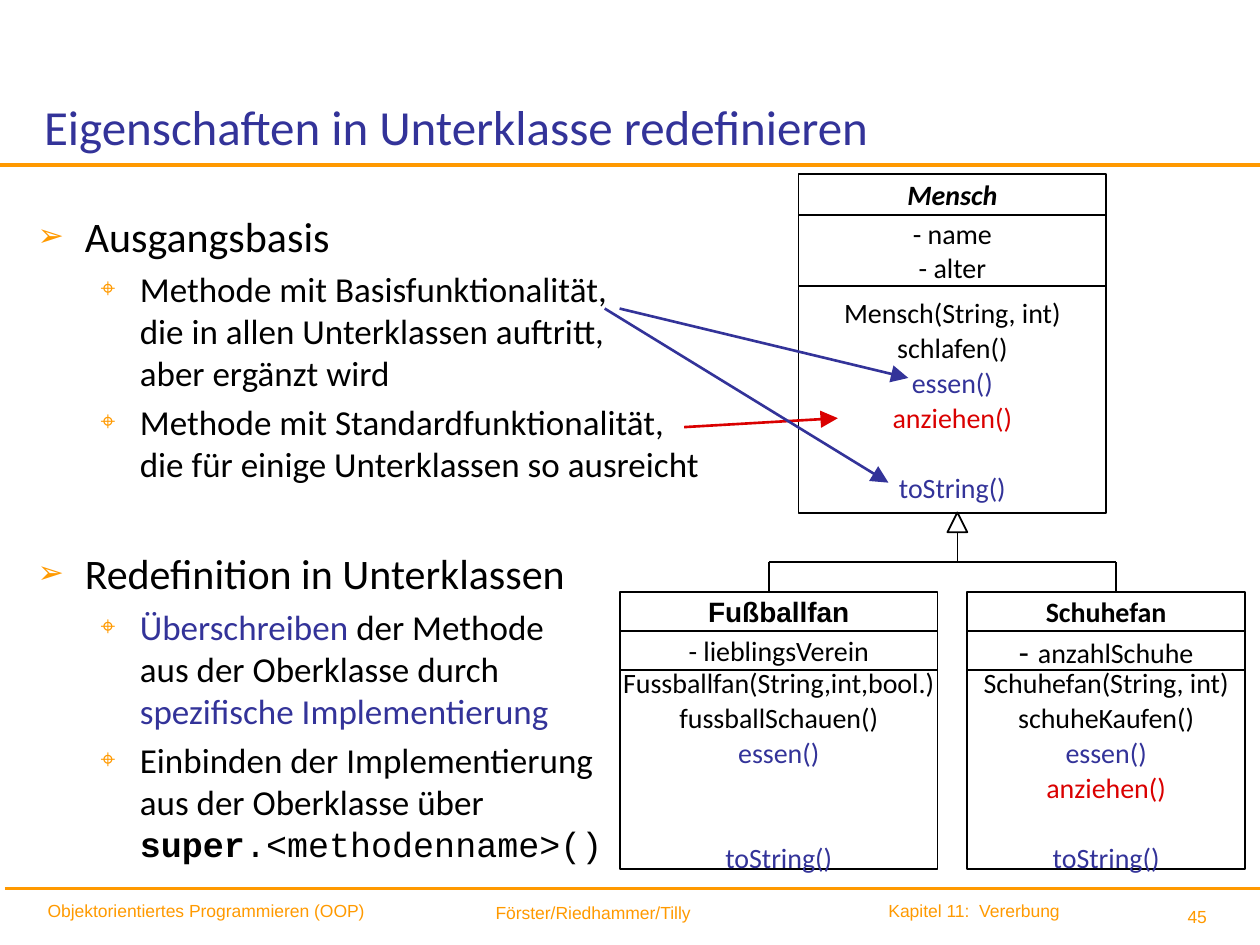
from dataclasses import dataclass
from pptx import Presentation
from pptx.dml.color import RGBColor
from pptx.enum.shapes import MSO_CONNECTOR, MSO_SHAPE
from pptx.enum.text import MSO_ANCHOR, PP_ALIGN
from pptx.oxml.ns import qn
from pptx.util import Cm, Pt
from lxml.etree import SubElement


@dataclass(frozen=True)
class Theme:
    blue: str = "333399"
    red: str = "DA0000"
    gold: str = "FF9900"
    amber: str = "FF9A00"
    black: str = "000000"
    sans: str = "Calibri"
    plain: str = "Arial"
    mono: str = "Courier New"
    title: int = 28
    head: int = 24
    item: int = 20
    code: int = 16
    dash: int = 18
    foot: int = 10


T = Theme()


def style(font, size=None, color=None, face=None, bold=None, italic=None):
    if size:
        font.size = Pt(size)
    if color:
        font.color.rgb = RGBColor.from_string(color)
    if face:
        font.name = face
    if bold is not None:
        font.bold = bold
    if italic is not None:
        font.italic = italic


def fill_par(par, runs, **base):
    style(par.font, **base)
    for text, look in runs:
        for i, line in enumerate(text.split("\n")):
            if i:
                par.add_line_break()
            if line:
                run = par.add_run()
                run.text = line
                style(run.font, **look)


def set_frame(frame, pads=(0, 0, 0, 0), anchor=MSO_ANCHOR.TOP, wrap=True):
    frame.margin_left, frame.margin_top, frame.margin_right, frame.margin_bottom = map(Cm, pads)
    frame.vertical_anchor = anchor
    frame.word_wrap = wrap
    return frame


def add_text(slide, box, **kind):
    return set_frame(slide.shapes.add_textbox(*map(Cm, box)).text_frame, **kind)


def add_line(slide, start, end, color, width, arrow=False):
    link = slide.shapes.add_connector(MSO_CONNECTOR.STRAIGHT, *map(Cm, start + end))
    link.line.color.rgb = RGBColor.from_string(color)
    link.line.width = Pt(width)
    props = link._element.spPr
    if arrow:
        SubElement(props.find(qn("a:ln")), qn("a:tailEnd"), type="triangle", w="lg", len="lg")
    SubElement(props, qn("a:effectLst"))


def add_shape(slide, kind, box):
    shape = slide.shapes.add_shape(kind, *map(Cm, box))
    shape.shadow.inherit = False
    shape.fill.background()
    shape.line.color.rgb = RGBColor.from_string(T.black)
    shape.line.width = Pt(1)
    return shape


def add_title(slide, box):
    x, y, w, h = box
    frame = add_text(slide, (x + 0.89, y, w - 4.98, h - 0.2), anchor=MSO_ANCHOR.BOTTOM)
    fill_par(frame.paragraphs[0], [("Eigenschaften in Unterklasse redefinieren", {})],
             size=T.title, color=T.blue, face=T.sans)
    add_line(slide, (x, y + h), (x + w, y + h), T.gold, 2)


def add_foot(slide, box):
    x, y, w, h = box
    add_line(slide, (x + 0.1, y), (x + w, y), T.gold, 2)
    left, right = PP_ALIGN.LEFT, PP_ALIGN.RIGHT
    parts = [
        ("Objektorientiertes Programmieren (OOP)", 0.71, 0.1, 7.34, 0.25, left),
        ("Förster/Riedhammer/Tilly", 8.74, 0.15, 5.18, 0.25, right),
        ("Kapitel 11:  Vererbung", 17.91, 0.1, 5.59, 0, left),
        ("45", 16.66, 0.23, 7.67, 0.25, right),
    ]
    for text, dx, dy, width, pad, align in parts:
        frame = add_text(slide, (x + dx, y + dy, width, h), pads=(pad, 0.13, 0, 0.13))
        par = frame.paragraphs[0]
        par.alignment = align
        fill_par(par, [(text, {})], size=T.foot, color=T.amber, face=T.plain)


def add_bullet(par, sign, left, hang):
    props = par._p.get_or_add_pPr()
    props.set("marL", str(Cm(left)))
    props.set("indent", str(-Cm(hang)))
    tint = SubElement(props, qn("a:buClr"))
    SubElement(tint, qn("a:srgbClr"), val=T.amber)
    SubElement(props, qn("a:buSzPct"), val="75000")
    SubElement(props, qn("a:buFont"), typeface=T.plain)
    SubElement(props, qn("a:buChar"), char=sign)


def add_list(slide, box):
    blue, mono = {"color": T.blue}, {"face": T.mono}
    rows = [
        (0, 0, [("Ausgangsbasis", {})]),
        (1, 4, [("Methode mit Basisfunktionalität,\ndie in allen Unterklassen auftritt,\n"
                 "aber ergänzt wird", {})]),
        (1, 4, [("Methode mit Standardfunktionalität,\n"
                 "die für einige Unterklassen so ausreicht", {})]),
        (0, 36, [("Redefinition in Unterklassen", {})]),
        (1, 4, [("Überschreiben", blue), (" der Methode\naus der Oberklasse durch\n", {}),
                ("spezifische Implementierung", blue)]),
        (1, 4, [("Einbinden der Implementierung\naus der Oberklasse über\n", {}),
                ("super", {**mono, "bold": True}), (".<methodenname>()", mono)]),
    ]
    looks = [("➢", 0.95, 0.95, T.head), ("⌖", 2.06, 0.79, T.item)]
    frame = add_text(slide, box, pads=(0.25, 0.13, 0.25, 0.13))
    for i, (level, gap, runs) in enumerate(rows):
        par = frame.add_paragraph() if i else frame.paragraphs[0]
        sign, left, hang, size = looks[level]
        par.level = level
        add_bullet(par, sign, left, hang)
        par.space_before = Pt(gap)
        fill_par(par, runs, size=size, color=T.black, face=T.sans)


def add_class(slide, box, parts, name_look):
    x, y, w, h = box
    looks = [{"bold": True, **name_look}, {}, {}]
    for (tall, rows), look in zip(parts, looks):
        shape = add_shape(slide, MSO_SHAPE.RECTANGLE, (x, y, w, tall * h))
        frame = set_frame(shape.text_frame, anchor=MSO_ANCHOR.MIDDLE, wrap=False)
        for i, (runs, color, skip) in enumerate(rows):
            par = frame.add_paragraph() if i else frame.paragraphs[0]
            par.alignment = PP_ALIGN.CENTER
            par.space_before = Pt(0.8 + 20 * skip)
            fill_par(par, runs, **{"size": T.code, "color": color, "face": T.sans, **look})
        y += tall * h


def row(text, color=T.black, skip=0):
    return [(text, {})], color, skip


def add_model(slide, box):
    x, y, w, h = box
    eat, dress = row("essen()", T.blue), row("anziehen()", T.red)
    add_class(slide, (x + 3.6, y, 6.2, 6.83), [
        (0.12, [row("Mensch")]),
        (0.21, [row("- name"), row("- alter")]),
        (0.67, [row("Mensch(String, int)"), row("schlafen()"), eat, dress,
                row("toString()", T.blue, 1)]),
    ], {"italic": True})
    low, tall = y + 8.43, h - 8.43
    add_class(slide, (x, low, 6.4, tall), [
        (0.14, [row("Fußballfan")]),
        (0.14, [row("- lieblingsVerein")]),
        (0.72, [row("Fussballfan(String,int,bool.)"), row("fussballSchauen()"), eat,
                row("toString()", T.blue, 2)]),
    ], {"face": T.plain})
    count = [("- ", {"size": T.dash, "face": T.plain}), ("anzahlSchuhe", {})]
    add_class(slide, (x + 7, low, w - 7, tall), [
        (0.14, [row("Schuhefan")]),
        (0.14, [(count, T.black, 0)]),
        (0.72, [row("Schuhefan(String, int)"), row("schuheKaufen()"), eat, dress,
                row("toString()", T.blue, 1)]),
    ], {})
    mid, top, bar = x + 6.8, y + 6.82, y + 7.82
    add_shape(slide, MSO_SHAPE.ISOSCELES_TRIANGLE, (mid - 0.2, top, 0.4, 0.4))
    add_line(slide, (mid, top + 0.4), (mid, bar), T.black, 0.75)
    ends = x + 3, x + 10
    add_line(slide, (ends[0], bar), (ends[1], bar), T.black, 0.75)
    for end in ends:
        add_line(slide, (end, bar), (end, low), T.black, 0.75)


def add_hints(slide, box):
    x, y, w, h = box
    hints = [
        ((x + 1.6, y + 2.39), (x + 4.7, y + 2.21), T.red),
        ((x, y), (x + 5.72, y + h), T.blue),
        ((x + 0.3, y), (x + w, y + 1.4), T.blue),
    ]
    for start, end, color in hints:
        add_line(slide, start, end, color, 1.5, arrow=True)


def main():
    deck = Presentation()
    deck.slide_width, deck.slide_height = Cm(25.4), Cm(19.05)
    slide = deck.slides.add_slide(deck.slide_layouts[6])
    add_foot(slide, (0, 17.91, 25.5, 0.91))
    add_title(slide, (0, 0.76, 25.5, 2.57))
    add_list(slide, (0.51, 4.11, 24.18, 13.79))
    add_model(slide, (12.5, 3.51, 12.6, 14.01))
    add_hints(slide, (12.19, 6.22, 6.12, 3.51))
    deck.save("out.pptx")


if __name__ == "__main__":
    main()
